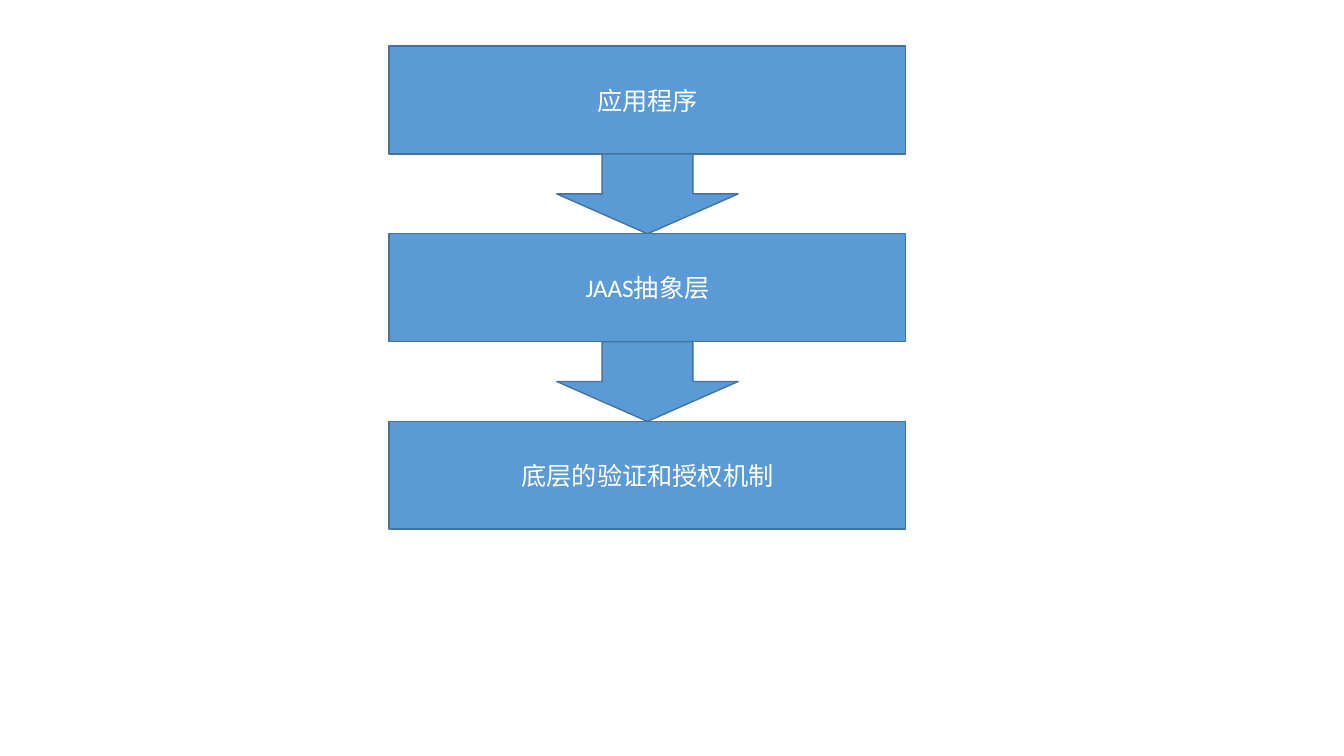
import pptx
import pptx.util
import pptx.dml.color
import pptx.enum.shapes
import pptx.enum.text

LAYERS = ["应用程序", "JAAS抽象层", "底层的验证和授权机制"]

BLUE = pptx.dml.color.RGBColor(0x5B, 0x9B, 0xD5)
OUTLINE = pptx.dml.color.RGBColor(0x43, 0x73, 0x9E)
WHITE = pptx.dml.color.RGBColor(0xFF, 0xFF, 0xFF)

Pt = pptx.util.Pt
MSO_SHAPE = pptx.enum.shapes.MSO_SHAPE

BOX_LEFT, BOX_TOP, BOX_W, BOX_H = 278, 33, 369, 77
ARROW_W, ARROW_H = 129.6, 57
ARROW_LEFT = BOX_LEFT + (BOX_W - ARROW_W) / 2


def add_block(s, kind, left, top, width, height):
    sp = s.shapes.add_shape(kind, Pt(left), Pt(top), Pt(width), Pt(height))
    sp.shadow.inherit = False
    sp.fill.solid()
    sp.fill.fore_color.rgb = BLUE
    sp.line.color.rgb = OUTLINE
    sp.line.width = Pt(1)
    return sp


def add_label(sp, text):
    tf = sp.text_frame
    tf.word_wrap = True
    tf.vertical_anchor = pptx.enum.text.MSO_ANCHOR.MIDDLE
    p = tf.paragraphs[0]
    p.alignment = pptx.enum.text.PP_ALIGN.CENTER
    r = p.add_run()
    r.text = text
    r.font.name = "Calibri"
    r.font.size = Pt(18)
    r.font.color.rgb = WHITE


prs = pptx.Presentation()
prs.slide_width, prs.slide_height = Pt(960), Pt(540)
s = prs.slides.add_slide(prs.slide_layouts[6])

for i, text in enumerate(LAYERS):
    top = BOX_TOP + i * (BOX_H + ARROW_H)
    sp = add_block(s, MSO_SHAPE.RECTANGLE, BOX_LEFT, top, BOX_W, BOX_H)
    add_label(sp, text)
    if i < len(LAYERS) - 1:
        add_block(s, MSO_SHAPE.DOWN_ARROW, ARROW_LEFT, top + BOX_H, ARROW_W, ARROW_H)

prs.save("out.pptx")
